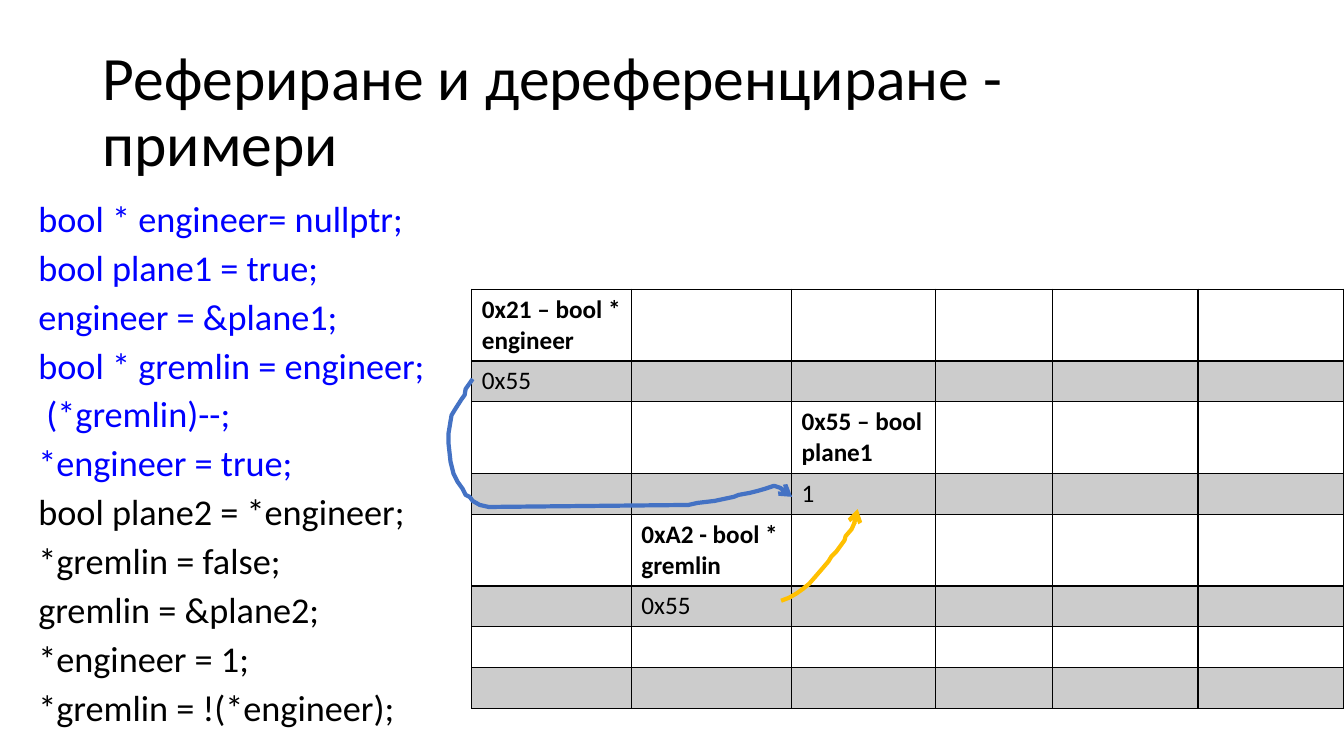
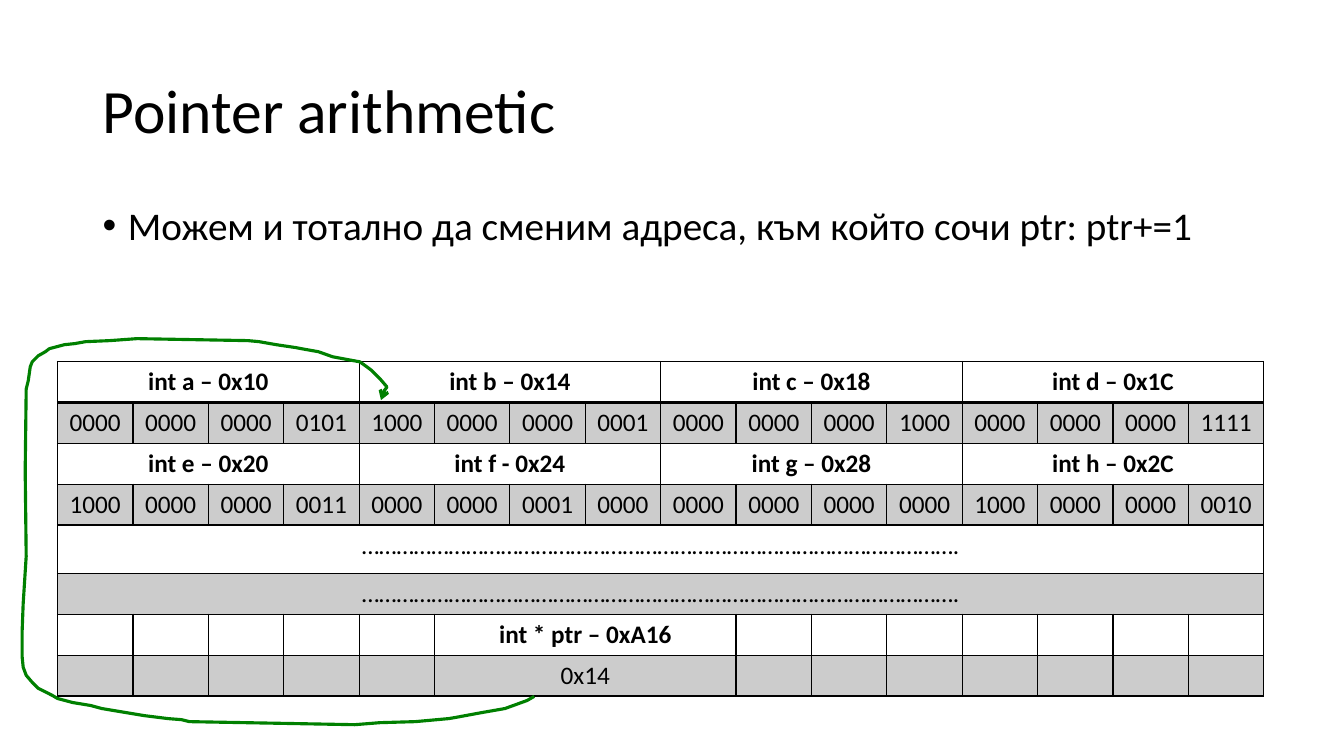
from dataclasses import dataclass

from lxml.etree import SubElement
from pptx import Presentation
from pptx.dml.color import RGBColor
from pptx.enum.text import MSO_AUTO_SIZE, PP_ALIGN
from pptx.oxml.ns import qn
from pptx.util import Cm, Pt


@dataclass(frozen=True)
class Theme:
    font: str = "Calibri"
    black: RGBColor = RGBColor(0, 0, 0)
    done_code: RGBColor = RGBColor(0, 0, 255)
    engineer_arrow: RGBColor = RGBColor(0x44, 0x72, 0xC4)
    gremlin_arrow: RGBColor = RGBColor(0xFF, 0xC0, 0)
    ptr_arrow: RGBColor = RGBColor(0, 0x80, 0)
    shade_percent: int = 20
    title_size: Pt = Pt(44)
    list_size: Pt = Pt(28)
    code_size: Pt = Pt(25.9)
    cell_size: Pt = Pt(18)
    border: Pt = Pt(1)
    header_border: Pt = Pt(2)


THEME = Theme()
TITLE_BOX = (2.33, 1.02, 29.21, 3.68)
ROW_HEIGHT = 1.03
TALL_ROW = 1.8
STROKE_SCALE = Cm(2.54) / 100  # freehand points are hundredths of an inch

# Slide contents
DONE_LINES = ["bool * engineer= nullptr;", "bool plane1 = true;",
              "engineer = &plane1;", "bool * gremlin = engineer;",
              " (*gremlin)--;", "*engineer = true;"]
NEXT_LINES = ["bool plane2 = *engineer;", "*gremlin = false;",
              "gremlin = &plane2;", "*engineer = 1;",
              "*gremlin = !(*engineer);"]
POINTER_ROWS = [{0: "0x21 – bool *\nengineer"}, {0: "0x55"},
                {2: "0x55 – bool\nplane1"}, {2: "1"},
                {1: "0xA2 - bool *\ngremlin"}, {1: "0x55"}, {}, {}]
DOTS = "…" * 34 + "."
FIRST_BITS = "0000 0000 0000 0101 1000 0000 0000 0001 0000 0000 0000 1000 0000 0000 0000 1111"
SECOND_BITS = "1000 0000 0000 0011 0000 0000 0001 0000 0000 0000 0000 0000 1000 0000 0000 0010"

# Freehand arrows
ENGINEER_STROKE = [
    (469, 376), (462, 386), (461, 392), (458, 396), (451, 407), (448, 412),
    (447, 418), (445, 430), (445, 440), (447, 458), (450, 470), (454, 478),
    (459, 485), (462, 491), (466, 493), (469, 497), (476, 501), (485, 503),
    (683, 501), (692, 499), (709, 497), (728, 493), (733, 491), (744, 489),
    (752, 487), (759, 485), (768, 482), (774, 484), (778, 487), (786, 493)]
GREMLIN_STROKE = [
    (775, 596), (783, 593), (790, 589), (797, 584), (803, 579), (810, 571),
    (816, 564), (822, 557), (825, 552), (830, 547), (838, 536), (839, 532),
    (845, 525), (849, 516), (851, 511), (851, 505)]
PTR_STROKE = [
    (530, 691), (523, 695), (512, 699), (501, 703), (478, 707), (451, 712),
    (445, 713), (412, 716), (377, 717), (352, 719), (188, 716), (180, 714),
    (167, 713), (143, 710), (125, 707), (101, 703), (90, 700), (72, 697),
    (57, 693), (52, 690), (38, 683), (32, 677), (26, 670), (23, 662),
    (22, 652), (22, 625), (23, 599), (26, 552), (25, 467), (26, 386),
    (28, 378), (30, 364), (32, 359), (38, 353), (45, 349), (49, 346),
    (64, 342), (74, 341), (85, 339), (109, 338), (136, 336), (246, 338),
    (257, 339), (274, 342), (294, 345), (299, 346), (316, 349), (330, 354),
    (346, 357), (357, 359), (364, 364), (368, 367), (378, 377), (384, 384),
    (381, 388), (378, 391), (378, 397)]


def set_values(target, values):
    for name, value in values.items():
        setattr(target, name, value)


def place(box, left, top, width, height):
    set_values(box, {"left": Cm(left), "top": Cm(top),
                     "width": Cm(width), "height": Cm(height)})


def write(para, text, size, color=THEME.black, bold=False, **layout):
    set_values(para, layout)
    span = para.add_run()
    span.text = text
    set_values(span.font, {"name": THEME.font, "size": size, "bold": bold})
    span.font.color.rgb = color


def paragraphs(frame, count):
    yield frame.paragraphs[0]
    for _ in range(count - 1):
        yield frame.add_paragraph()


def add_page(deck, layout, title):
    page = deck.slides.add_slide(layout)
    write(page.shapes.title.text_frame.paragraphs[0], title, THEME.title_size,
          alignment=PP_ALIGN.LEFT, line_spacing=0.9)
    return page


def fill_body(page, area, lines, size, line_spacing, bullets):
    """Fill the body placeholder with (text, color) lines."""
    box = page.placeholders[1]
    place(box, *area)
    frame = box.text_frame
    set_values(frame, {"word_wrap": True, "auto_size": MSO_AUTO_SIZE.NONE})
    indent = Cm(0.64) if bullets else 0
    for para, (text, color) in zip(paragraphs(frame, len(lines)), lines):
        write(para, text, size, color, line_spacing=line_spacing,
              space_before=Pt(10))
        properties = para._p.get_or_add_pPr()
        properties.set("marL", str(indent))
        properties.set("indent", str(-indent))
        if not bullets:
            SubElement(properties, qn("a:buNone"))


def format_cell(cell, shaded, header):
    properties = cell._tc.get_or_add_tcPr()
    for side in "LRTB":
        thick = header and side == "B"
        width = THEME.header_border if thick else THEME.border
        line = SubElement(properties, qn(f"a:ln{side}"), w=str(width))
        fill = SubElement(line, qn("a:solidFill"))
        SubElement(fill, qn("a:srgbClr"), val=str(THEME.black))
    if not shaded:
        cell.fill.background()
        return
    cell.fill.solid()
    cell.fill.fore_color.rgb = THEME.black
    color = properties.find(f"{qn('a:solidFill')}/{qn('a:srgbClr')}")
    SubElement(color, qn("a:alpha"), val=str(THEME.shade_percent * 1000))


def add_memory_table(page, left, top, widths, heights, rows, spans, alignment):
    """Rows map a column to its text; spans map (row, column) to a width."""
    frame = page.shapes.add_table(len(rows), len(widths), Cm(left), Cm(top),
                                  Cm(sum(widths)), Cm(sum(heights)))
    table = frame.table
    set_values(table, {"first_row": False, "horz_banding": False})
    for column, width in zip(table.columns, widths):
        column.width = Cm(width)
    for r, (contents, height) in enumerate(zip(rows, heights)):
        table.rows[r].height = Cm(height)
        shaded = r % 2 == 1
        for c in range(len(widths)):
            format_cell(table.cell(r, c), shaded, r == 0)
        for c, text in contents.items():
            cell = table.cell(r, c)
            if (r, c) in spans:
                cell.merge(table.cell(r, c + spans[r, c] - 1))
            lines = text.split("\n")
            for para, line in zip(paragraphs(cell.text_frame, len(lines)), lines):
                write(para, line, THEME.cell_size,
                      bold=not shaded and text != DOTS, alignment=alignment)


def add_freehand_arrow(page, points, color, width):
    builder = page.shapes.build_freeform(*points[0], scale=STROKE_SCALE)
    builder.add_line_segments(points[1:], close=False)
    stroke = builder.convert_to_shape()
    stroke.shadow.inherit = False
    stroke.fill.background()
    stroke.line.color.rgb = color
    stroke.line.width = Pt(width)
    line = stroke.line._get_or_add_ln()
    SubElement(line, qn("a:round"))
    SubElement(line, qn("a:tailEnd"), type="arrow")


def build_examples(deck, layout):
    page = add_page(deck, layout, "Рефериране и дереференциране - примери")
    lines = [(text, THEME.done_code) for text in DONE_LINES]
    lines += [(text, THEME.black) for text in NEXT_LINES]
    fill_body(page, (0.71, 5.03, 32.84, 14.78), lines, THEME.code_size, 0.8,
              bullets=False)
    heights = [TALL_ROW, ROW_HEIGHT] * 3 + [ROW_HEIGHT] * 2
    add_memory_table(page, 11.89, 7.29, [4.02, 4.04, 3.63, 2.95, 3.66, 3.66],
                     heights, POINTER_ROWS, {}, PP_ALIGN.LEFT)
    add_freehand_arrow(page, ENGINEER_STROKE, THEME.engineer_arrow, 3)
    add_freehand_arrow(page, GREMLIN_STROKE, THEME.gremlin_arrow, 3)


def build_arithmetic(deck, layout):
    page = add_page(deck, layout, "Pointer arithmetic")
    text = "Можем и тотално да сменим адреса, към който сочи ptr: ptr+=1"
    fill_body(page, (2.33, 5.07, 29.21, 12.09), [(text, THEME.black)],
              THEME.list_size, 0.9, bullets=True)
    first_names = ["int a – 0x10", "int b – 0x14", "int c – 0x18", "int d – 0x1C"]
    second_names = ["int e – 0x20", "int f - 0x24", "int g – 0x28", "int h – 0x2C"]
    starts = range(0, 16, 4)
    rows = [dict(zip(starts, first_names)), dict(enumerate(FIRST_BITS.split())),
            dict(zip(starts, second_names)), dict(enumerate(SECOND_BITS.split())),
            {0: DOTS}, {0: DOTS}, {5: "int * ptr – 0xA16"}, {5: "0x14"}]
    spans = {(r, c): 4 for r in (0, 2) for c in starts}
    spans |= {(4, 0): 16, (5, 0): 16, (6, 5): 4, (7, 5): 4}
    heights = [ROW_HEIGHT] * 4 + [1.22] + [ROW_HEIGHT] * 3
    add_memory_table(page, 1.45, 9.11, [1.9] * 16, heights, rows, spans,
                     PP_ALIGN.CENTER)
    add_freehand_arrow(page, PTR_STROKE, THEME.ptr_arrow, 2.25)


def main():
    deck = Presentation()
    set_values(deck, {"slide_width": Cm(33.87), "slide_height": Cm(19.05)})
    layout = deck.slide_layouts[1]
    place(layout.placeholders[0], *TITLE_BOX)
    build_examples(deck, layout)
    build_arithmetic(deck, layout)
    deck.save("out.pptx")


main()
